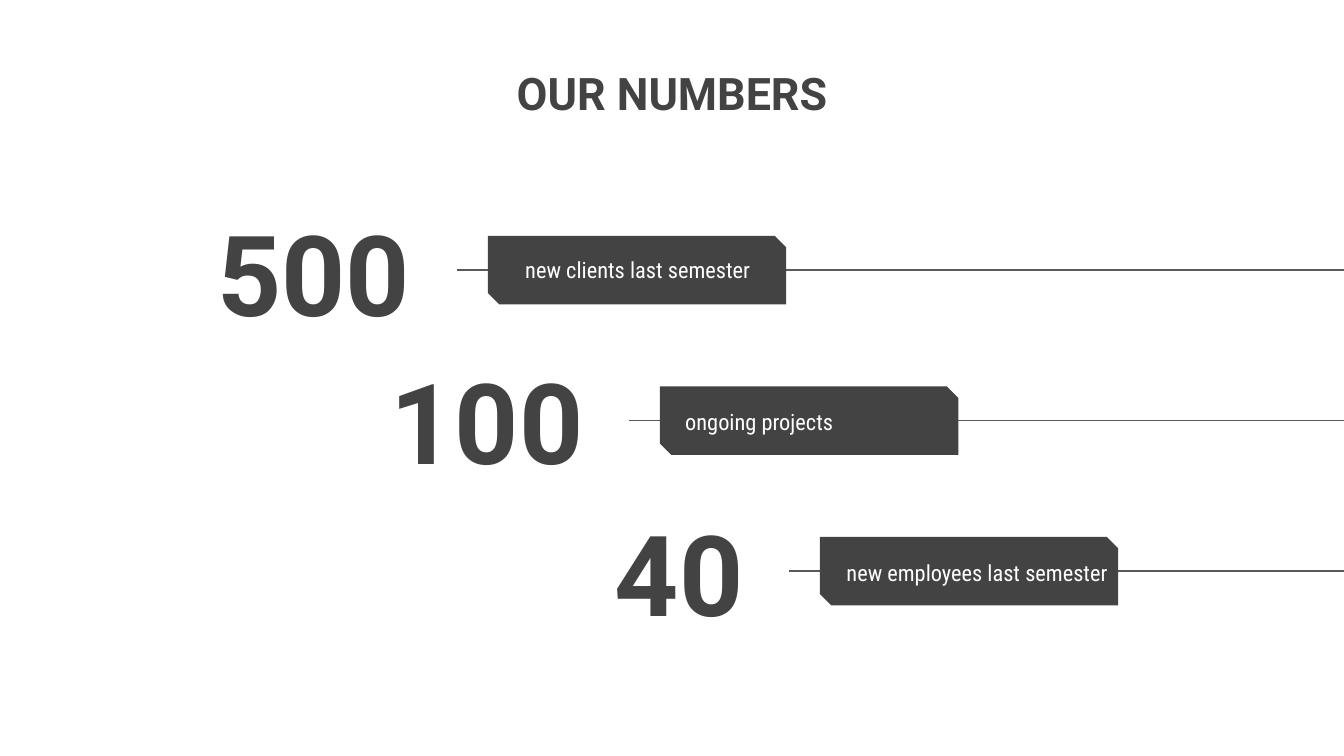
from pptx import Presentation
from pptx.dml.color import RGBColor
from pptx.enum.shapes import MSO_CONNECTOR, MSO_SHAPE
from pptx.enum.text import MSO_ANCHOR, PP_ALIGN
from pptx.oxml.ns import qn
from pptx.util import Inches, Pt
from lxml import etree

SNIPPED = MSO_SHAPE.SNIP_2_DIAG_RECTANGLE
STRAIGHT = MSO_CONNECTOR.STRAIGHT
TOP, MIDDLE = MSO_ANCHOR.TOP, MSO_ANCHOR.MIDDLE
LEFT, CENTER, RIGHT = PP_ALIGN.LEFT, PP_ALIGN.CENTER, PP_ALIGN.RIGHT

DARK, LINE, WHITE = "434343", "595959", "FFFFFF"
SLIDE_W = 10
SLIDE_H = SLIDE_W * 9 / 16
BAR_W, BAR_H = 2.22, 0.51
FIRST_Y, ROW_STEP = 2.01, 1.12

# number, label, number left, number top, bar left, label left, label anchor
ROWS = [
    ("500", "new clients last semester", 1.19, 1.61, 3.63, 3.81, MIDDLE),
    ("100", "ongoing projects", 2.48, 2.71, 4.91, 5, TOP),
    ("40", "new employees last semester", 3.67, 3.84, 6.1, 6.2, TOP),
]


def rgb(color):
    return RGBColor.from_string(color)


def add_text(slide, text, x, y, w, h, size, font, color, align, anchor, bold=False):
    box = slide.shapes.add_textbox(Inches(x), Inches(y), Inches(w), Inches(h))
    tf = box.text_frame
    tf.word_wrap = True
    tf.vertical_anchor = anchor
    tf.margin_left = tf.margin_right = Inches(0.1)
    tf.margin_top = tf.margin_bottom = Inches(0.1)
    tf.text = text
    p = tf.paragraphs[0]
    p.alignment = align
    f = p.runs[0].font
    f.size, f.name, f.bold = Pt(size), font, bold
    f.color.rgb = rgb(color)


def add_line(slide, x, y):
    """Draw a rule from x to the right edge of the slide."""
    line = slide.shapes.add_connector(
        STRAIGHT, Inches(SLIDE_W), Inches(y), Inches(x), Inches(y))
    line.line.color.rgb = rgb(LINE)
    line.line.width = Pt(0.75)
    etree.SubElement(line._element.spPr, qn("a:effectLst"))


def add_bar(slide, x, y):
    sp = slide.shapes.add_shape(
        SNIPPED, Inches(x), Inches(y), Inches(BAR_W), Inches(BAR_H))
    sp.adjustments[0] = 0
    sp.adjustments[1] = 0.167
    sp.shadow.inherit = False
    sp.fill.solid()
    sp.fill.fore_color.rgb = rgb(DARK)
    sp.line.fill.background()


def add_row(slide, y, number, label, number_x, number_y, bar_x, label_x, anchor):
    """Place one figure with its labelled bar, centred on the rule at y."""
    add_line(slide, bar_x - 0.23, y)
    add_bar(slide, bar_x, y - BAR_H / 2)
    add_text(slide, number, number_x, number_y, 1.96, 0.83,
             60, "Roboto", DARK, RIGHT, MIDDLE, bold=True)
    add_text(slide, label, label_x, y - 0.19, 3.57, 0.37,
             12, "Roboto Condensed", WHITE, LEFT, anchor)


def main():
    prs = Presentation()
    prs.slide_width, prs.slide_height = Inches(SLIDE_W), Inches(SLIDE_H)
    slide = prs.slides.add_slide(prs.slide_layouts[6])
    add_text(slide, "OUR NUMBERS", 2.15, 0.39, 5.7, 1.03,
             24, "Roboto", DARK, CENTER, TOP, bold=True)
    for i, row in enumerate(ROWS):
        add_row(slide, FIRST_Y + i * ROW_STEP, *row)
    prs.save("out.pptx")


if __name__ == "__main__":
    main()
